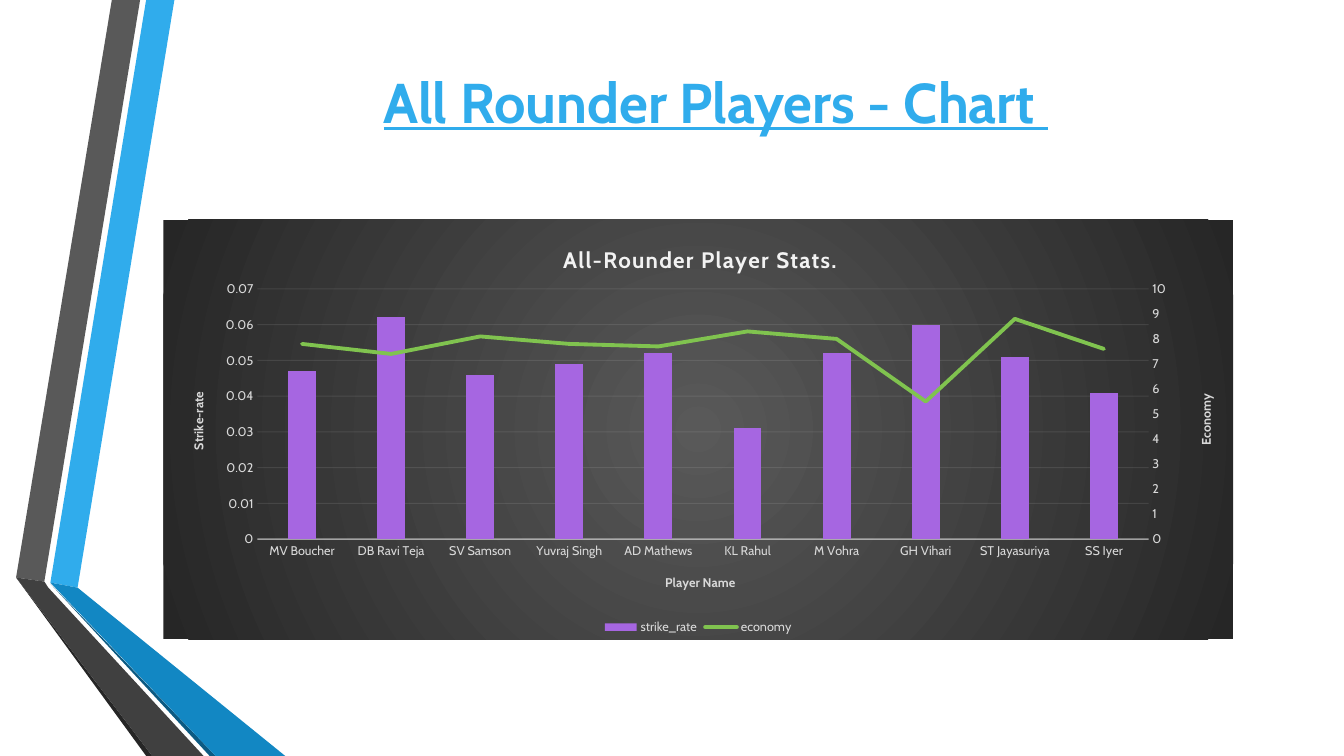
from copy import deepcopy

from lxml import etree
from pptx import Presentation
from pptx.chart.data import CategoryChartData
from pptx.dml.color import RGBColor
from pptx.enum.chart import XL_CHART_TYPE, XL_LEGEND_POSITION, XL_TICK_MARK
from pptx.enum.text import MSO_ANCHOR, PP_ALIGN
from pptx.oxml import parse_xml
from pptx.oxml.ns import nsdecls, qn
from pptx.util import Inches, Pt

CLUSTERED = XL_CHART_TYPE.COLUMN_CLUSTERED
BOTTOM = XL_LEGEND_POSITION.BOTTOM
NO_TICKS = XL_TICK_MARK.NONE
CENTER = PP_ALIGN.CENTER
MIDDLE = MSO_ANCHOR.MIDDLE

CELL = Inches(0.01)
COLUMNS, ROWS = 1333, 750
FONT = "Cabin"
COLORS = {
    "sky": "30ACEC", "blue": "1287C3", "navy": "0C5A82",
    "gray": "595959", "charcoal": "404040", "dark": "262626",
    "light": "F2F2F2", "label": "D9D9D9",
    "strike_rate": "A666E1", "economy": "80C34F",
}
RIBBONS = [
    ("sky", [(50, 578), (77, 583), (173, 0), (145, 0)]),
    ("gray", [(139, 0), (111, 0), (16, 573), (44, 577)]),
    ("dark", [(16, 573), (145, ROWS), (151, ROWS)]),
    ("navy", [(50, 579), (208, ROWS), (214, ROWS)]),
    ("blue", [(50, 578), (214, ROWS), (283, ROWS), (77, 583)]),
    ("charcoal", [(202, ROWS), (48, 583), (44, 577), (16, 573), (151, ROWS)]),
]
PLAYERS = ["MV Boucher", "DB Ravi Teja", "SV Samson", "Yuvraj Singh",
           "AD Mathews", "KL Rahul", "M Vohra", "GH Vihari",
           "ST Jayasuriya", "SS Iyer"]
STRIKE_RATES = [0.047, 0.062, 0.046, 0.049, 0.052, 0.031, 0.052, 0.06, 0.051, 0.041]
ECONOMIES = [7.8, 7.4, 8.1, 7.8, 7.7, 8.3, 8, 5.5, 8.8, 7.6]


def rgb(name):
    return RGBColor.from_string(COLORS[name])


def style_font(font, size, color, bold=False):
    font.name, font.size, font.bold = FONT, Pt(size), bold
    font.color.rgb = rgb(color)


def add_ribbon(slide, color, points):
    builder = slide.shapes.build_freeform(*points[0], scale=CELL)
    builder.add_line_segments(points[1:], close=True)
    ribbon = builder.convert_to_shape()
    ribbon.shadow.inherit = False
    ribbon.fill.solid()
    ribbon.fill.fore_color.rgb = rgb(color)
    ribbon.line.fill.background()


def add_heading(slide, text, left, top, width, height):
    heading = slide.shapes.add_textbox(*(n * CELL for n in (left, top, width, height)))
    frame = heading.text_frame
    frame.word_wrap = True
    frame.vertical_anchor = MIDDLE
    paragraph = frame.paragraphs[0]
    paragraph.alignment = CENTER
    run = paragraph.add_run()
    run.text = text
    style_font(run.font, 40, "sky", True)
    run.font.underline = True


def manual_layout(x, y, width=None, height=None):
    parts = "<c:layoutTarget val='inner'/>" if width else ""
    parts += "<c:xMode val='edge'/><c:yMode val='edge'/>"
    for tag, share in zip("xywh", (x, y, width, height)):
        if share is not None:
            parts += f"<c:{tag} val='{share}'/>"
    return parse_xml(f"<c:layout {nsdecls('c')}><c:manualLayout>{parts}"
                     "</c:manualLayout></c:layout>")


def place(parent, layout, index):
    for old in parent.findall(qn("c:layout")):
        parent.remove(old)
    parent.insert(index, layout)


def write_title(title, text, size, color):
    run = title.text_frame.paragraphs[0].add_run()
    run.text = text
    style_font(run.font, size, color, True)


def style_axis(axis, title):
    axis.major_tick_mark = axis.minor_tick_mark = NO_TICKS
    style_font(axis.tick_labels.font, 9, "label")
    write_title(axis.axis_title, title, 9, "label")


def style_line(line, color, width, opacity=None):
    line.color.rgb = rgb(color)
    line.width = Pt(width)
    return opacity


def set_opacity(properties, percent):
    for color in properties.iter(qn("a:srgbClr")):
        etree.SubElement(color, qn("a:alpha")).set("val", str(percent * 1000))


def set_value(parent, tag, value):
    parent.find(qn(tag)).set("val", str(value))


def add_radial_fill(chart):
    stops = "".join(f"<a:gs pos='{pos}'><a:srgbClr val='{COLORS[name]}'/></a:gs>"
                    for pos, name in ((0, "gray"), (100000, "dark")))
    chart.element.find(qn("c:chart")).addnext(parse_xml(
        f"<c:spPr {nsdecls('c', 'a')}><a:gradFill><a:gsLst>{stops}</a:gsLst>"
        "<a:path path='circle'><a:fillToRect l='50000' t='50000' r='50000' b='50000'/>"
        "</a:path></a:gradFill><a:ln><a:noFill/></a:ln></c:spPr>"))


def move_economy_to_right_axis(plot_area):
    bars = plot_area.find(qn("c:barChart"))
    economy = bars.findall(qn("c:ser"))[1]
    for invert in economy.findall(qn("c:invertIfNegative")):
        economy.remove(invert)
    width = Pt(2.75)
    economy.find(qn("c:tx")).addnext(parse_xml(
        f"<c:spPr {nsdecls('c', 'a')}><a:ln w='{width}' cap='rnd'><a:solidFill>"
        f"<a:srgbClr val='{COLORS['economy']}'/></a:solidFill><a:round/></a:ln></c:spPr>"))
    economy.find(qn("c:spPr")).addnext(parse_xml(
        f"<c:marker {nsdecls('c')}><c:symbol val='none'/></c:marker>"))
    etree.SubElement(economy, qn("c:smooth")).set("val", "0")
    lines = parse_xml(
        f"<c:lineChart {nsdecls('c')}><c:grouping val='standard'/>"
        "<c:varyColors val='0'/><c:marker val='1'/>"
        "<c:axId val='5001'/><c:axId val='5002'/></c:lineChart>")
    lines.insert(2, economy)
    bars.addnext(lines)

    category_axis = plot_area.find(qn("c:catAx"))
    value_axis = plot_area.find(qn("c:valAx"))
    hidden_axis, right_axis = deepcopy(category_axis), deepcopy(value_axis)
    for axis, own, other in ((hidden_axis, 5001, 5002), (right_axis, 5002, 5001)):
        set_value(axis, "c:axId", own)
        set_value(axis, "c:crossAx", other)
    set_value(hidden_axis, "c:delete", 1)
    hidden_axis.remove(hidden_axis.find(qn("c:title")))
    right_axis.remove(right_axis.find(qn("c:majorGridlines")))
    set_value(right_axis, "c:axPos", "r")
    set_value(right_axis, "c:crosses", "max")
    set_value(right_axis, "c:majorUnit", 1)
    set_value(right_axis.find(qn("c:scaling")), "c:max", 10)
    next(right_axis.iter(qn("a:t"))).text = "Economy"
    value_axis.addnext(right_axis)
    right_axis.addnext(hidden_axis)


def add_player_chart(slide, left, top, width, height):
    data = CategoryChartData()
    data.categories = PLAYERS
    data.add_series("strike_rate", STRIKE_RATES)
    data.add_series("economy", ECONOMIES)
    chart = slide.shapes.add_chart(
        CLUSTERED, *(n * CELL for n in (left, top, width, height)), data).chart
    style_font(chart.font, 10, "label")
    write_title(chart.chart_title, "All-Rounder Player Stats.", 16, "light")
    next(chart.element.iter(qn("a:rPr"))).set("spc", "100")
    chart.has_legend = True
    chart.legend.position = BOTTOM
    chart.legend.include_in_layout = False
    style_font(chart.legend.font, 9, "label")

    plot = chart.plots[0]
    plot.gap_width, plot.overlap, plot.vary_by_categories = 219, -27, False
    strike_fill = plot.series[0].format.fill
    strike_fill.solid()
    strike_fill.fore_color.rgb = rgb("strike_rate")

    players, rates = chart.category_axis, chart.value_axis
    style_axis(players, "Player Name")
    style_axis(rates, "Strike-rate")
    rates.minimum_scale, rates.maximum_scale, rates.major_unit = 0, 0.07, 0.01
    rates.format.line.fill.background()
    style_line(players.format.line, "light", 1)
    style_line(rates.major_gridlines.format.line, "light", 0.75)

    plot_area = chart.element.find(qn("c:chart")).find(qn("c:plotArea"))
    category_axis, value_axis = (plot_area.find(qn(tag)) for tag in ("c:catAx", "c:valAx"))
    set_opacity(category_axis.find(qn("c:spPr")), 54)
    set_opacity(value_axis.find(qn("c:majorGridlines")), 10)
    body = next(value_axis.find(qn("c:title")).iter(qn("a:bodyPr")))
    body.set("rot", "-5400000")
    body.set("vert", "horz")
    move_economy_to_right_axis(plot_area)
    place(plot_area, manual_layout(0.088, 0.165, 0.833, 0.597), 0)
    title_places = [(0.37, 0.05), (0.467, 0.838), (0.022, 0.405), (0.964, 0.41)]
    for title, spot in zip(chart.element.iter(qn("c:title")), title_places):
        place(title, manual_layout(*spot), 1)
    add_radial_fill(chart)


def main():
    deck = Presentation()
    deck.slide_width, deck.slide_height = COLUMNS * CELL, ROWS * CELL
    slide = deck.slides.add_slide(deck.slide_layouts[6])
    for color, points in RIBBONS:
        add_ribbon(slide, color, points)
    add_heading(slide, "All Rounder Players - Chart ", 162, 60, 1096, 80)
    add_player_chart(slide, 162, 218, 1061, 416)
    deck.save("out.pptx")


if __name__ == "__main__":
    main()
